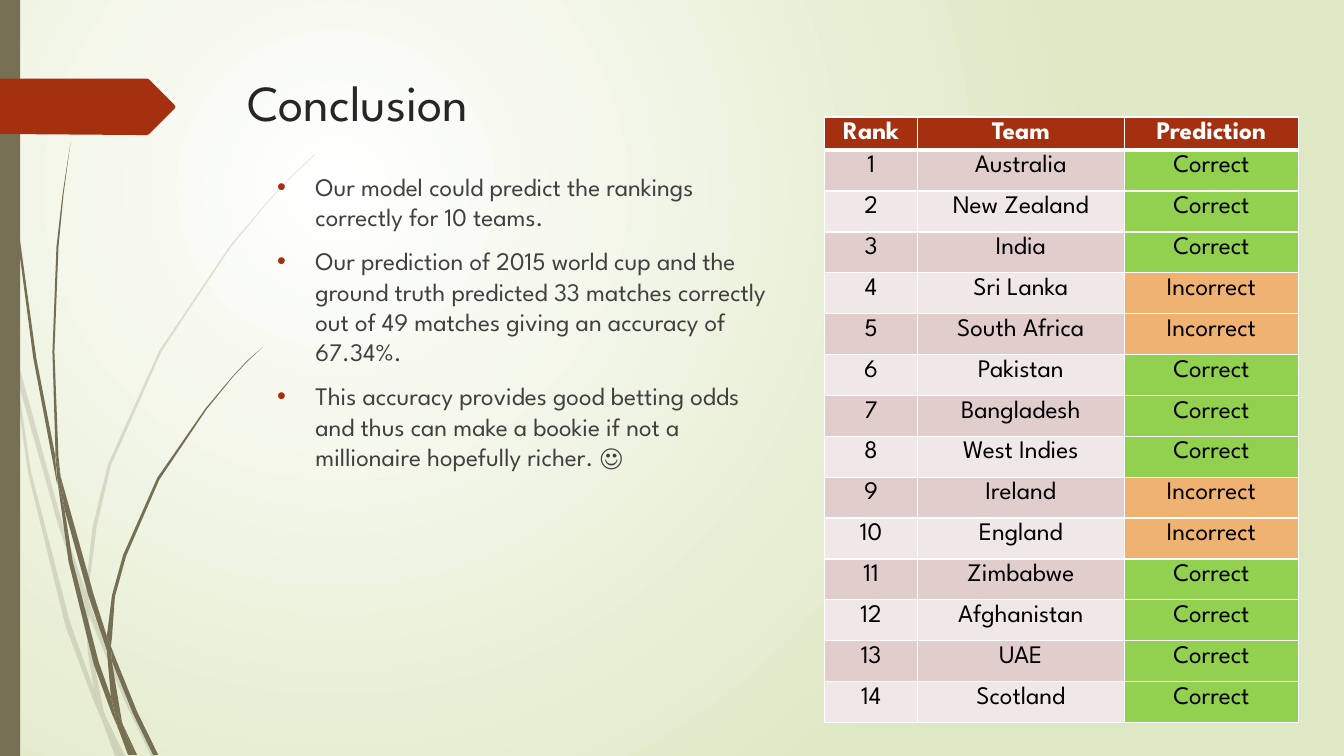
import pptx
import pptx.util
import pptx.oxml
import pptx.oxml.ns
import pptx.dml.color
import pptx.enum.shapes
import pptx.enum.text

Inches = pptx.util.Inches
Pt = pptx.util.Pt
ALIGN = pptx.enum.text.PP_ALIGN
ANCHOR = pptx.enum.text.MSO_ANCHOR

COLORS = {
    "white": "FFFFFF", "black": "000000", "glow": "DFE8C4", "stem": "766F54",
    "rust": "A53010", "title": "262626", "body": "404040",
    "odd": "E1CDCC", "even": "F0E8E7", "Correct": "92D050", "Incorrect": "F0B270",
}

PALE = [
    "0.11,3.5 0.09,3.22 0,2.82 0,2.99 0.1,3.44",
    "0.58,5.22 0.84,5.99 0.85,5.86 0.62,5.2 0.14,3.45 0.17,3.76",
    "0.92,6.07 0.88,5.96 0.88,6.1 1.23,6.94 1.5,7.5 1.55,7.5 1.27,6.92",
    "1.19,7.5 1.24,7.5 1.05,7.11",
    "0.93,6.83 0.7,6.19 0.31,4.69 0.17,3.76 0.11,3.5 0.28,4.7 0.65,6.21 0.92,6.93 1.01,7.14 0.99,7.07",
    "0.84,5.99 0.87,6.46 0.93,6.83 0.96,6.92 1.05,7.11 1.03,7.06 0.91,6.46 0.88,6.1 0.88,6.08",
    "0.88,5.84 0.96,5.22 1.1,4.62 1.6,3.49 2.29,2.45 2.68,1.98 2.9,1.75 3.12,1.54 3.12,1.53 "
    "2.89,1.75 2.68,1.97 2.28,2.44 1.58,3.48 1.07,4.61 0.92,5.22 0.85,5.84 0.85,5.86 0.88,5.96",
    "1.01,7.14 1.14,7.5 1.19,7.5",
    "0.88,6.08 0.88,6.1 0.88,5.96 0.85,5.86 0.84,5.99",
    "0.96,6.92 0.93,6.83 0.99,7.07 1.01,7.14 1.19,7.5 1.05,7.11",
]
DARK = [
    "0.07,1.1 0.17,2.33 0.33,3.55 0.56,4.77 0.57,4.81 0.55,4.57 0.55,4.53 0.36,3.55 0.19,2.32 "
    "0.08,1.09 0.05,0.48 0.04,0 0.03,0 0.04,0.48",
    "0.88,5.92 1.06,6.45 1.06,6.31 0.93,5.9 0.6,4.72 0.64,5.05",
    "1.13,6.49 1.1,6.41 1.11,6.56 1.32,7.08 1.52,7.49 1.57,7.49 1.36,7.06",
    "1.1,6.91 0.98,6.57 0.72,5.56 0.64,5.05 0.57,4.77 0.68,5.57 0.93,6.59 1.11,7.08 1.17,7.22 1.16,7.17",
    "0.6,4.72 0.58,4.53 0.54,3.49 0.58,2.45 0.63,1.93 0.7,1.41 0.62,1.93 0.56,2.45 0.52,3.49 0.55,4.49",
    "1.33,7.49 1.36,7.49 1.22,7.19",
    "0.57,4.77 0.64,5.05 0.6,4.72 0.55,4.49 0.55,4.53",
    "1.11,6.33 1.14,5.92 1.25,5.52 1.58,4.76 2.05,4.06 2.31,3.74 2.45,3.59 2.61,3.44 2.45,3.58 "
    "2.31,3.73 2.04,4.05 1.56,4.74 1.22,5.51 1.11,5.91 1.06,6.31 1.1,6.41",
    "1.17,7.22 1.27,7.49 1.31,7.49",
    "1.06,6.45 1.1,6.91 1.16,7.06 1.22,7.19 1.21,7.16 1.11,6.56 1.09,6.51",
    "1.06,6.45 1.09,6.51 1.11,6.56 1.1,6.41 1.06,6.31",
    "1.16,7.06 1.1,6.91 1.16,7.17 1.17,7.22 1.3,7.49 1.33,7.49 1.22,7.19",
]
TAG = "0,0.78 1.46,0.78 1.48,0.79 1.73,1.04 1.74,1.06 1.73,1.08 1.48,1.33 1.46,1.34 1.36,1.34 0,1.33"

POINTS = [
    "Our model could predict the rankings correctly for 10 teams.",
    "Our prediction of 2015 world cup and the ground truth predicted 33 matches correctly "
    "out of 49 matches giving an accuracy of 67.34%.",
    "This accuracy provides good betting odds and thus can make a bookie if not a "
    "millionaire hopefully richer. ☺",
]
HEADS = ["Rank", "Team", "Prediction"]
TEAMS = ["Australia", "New Zealand", "India", "Sri Lanka", "South Africa", "Pakistan",
         "Bangladesh", "West Indies", "Ireland", "England", "Zimbabwe", "Afghanistan",
         "UAE", "Scotland"]
WRONG = {"Sri Lanka", "South Africa", "Ireland", "England"}


def node(tag, attrs="", inner=""):
    space = pptx.oxml.ns.nsdecls("a")
    return pptx.oxml.parse_xml(f"<a:{tag} {space} {attrs}>{inner}</a:{tag}>")


def paint(color):
    return f'<a:srgbClr val="{COLORS[color]}"/>'


class Deck:
    def __init__(self, face):
        self.face = face
        self.file = pptx.Presentation()
        self.file.slide_width = Inches(13.33)
        self.file.slide_height = Inches(7.5)
        self.slide = self.file.slides.add_slide(self.file.slide_layouts[5])
        self.shapes = self.slide.shapes

    def rgb(self, color):
        return pptx.dml.color.RGBColor.from_string(COLORS[color])

    def font(self, para, size, color, bold=False):
        for run in para.runs:
            run.font.name = self.face
            run.font.size = Pt(size)
            run.font.bold = bold
            run.font.color.rgb = self.rgb(color)

    def back(self, inner, outer):
        fill = self.slide.background.fill
        fill.solid()
        old = self.slide.element.find(".//" + pptx.oxml.ns.qn("p:bgPr"))[0]
        stops = "".join(f'<a:gs pos="{pos}">{paint(color)}</a:gs>'
                        for pos, color in ((0, inner), (100000, outer)))
        shade = ('<a:path path="circle">'
                 '<a:fillToRect l="50000" t="50000" r="100000" b="100000"/></a:path>')
        old.getparent().replace(old, node("gradFill", 'rotWithShape="1"', f"<a:gsLst>{stops}</a:gsLst>{shade}"))

    def flat(self, shape, color):
        shape.shadow.inherit = False
        shape.fill.solid()
        shape.fill.fore_color.rgb = self.rgb(color)
        shape.line.fill.background()

    def bar(self, left, top, width, height, color):
        kind = pptx.enum.shapes.MSO_SHAPE.RECTANGLE
        box = map(Inches, (left, top, width, height))
        self.flat(self.shapes.add_shape(kind, *box), color)

    def form(self, shapes, spots, color, alpha=100):
        pairs = [tuple(Inches(float(num)) for num in spot.split(",")) for spot in spots.split()]
        pen = shapes.build_freeform(*pairs[0])
        pen.add_line_segments(pairs[1:], close=True)
        shape = pen.convert_to_shape()
        self.flat(shape, color)
        if alpha < 100:
            tint = shape.element.spPr.find(".//" + pptx.oxml.ns.qn("a:srgbClr"))
            tint.append(node("alpha", f'val="{alpha * 1000}"'))

    def grass(self, blades, color, alpha=100):
        group = self.shapes.add_group_shape()
        for blade in blades:
            self.form(group.shapes, blade, color, alpha)

    def title(self, text, left, top, width, height):
        box = self.shapes.title
        box.left, box.top, box.width, box.height = map(Inches, (left, top, width, height))
        frame = box.text_frame
        frame.text = text
        frame.vertical_anchor = ANCHOR.TOP
        frame.paragraphs[0].alignment = ALIGN.LEFT
        self.font(frame.paragraphs[0], 36, "title")

    def list(self, items, left, top, width, height):
        box = self.shapes.add_textbox(*map(Inches, (left, top, width, height)))
        frame = box.text_frame
        frame.word_wrap = True
        frame.text = "\n".join(items)
        for num, para in enumerate(frame.paragraphs):
            props = para._p.get_or_add_pPr()
            props.set("marL", str(Inches(0.38)))
            props.set("indent", str(-Inches(0.38)))
            props.append(node("buClr", "", paint("rust")))
            props.append(node("buFont", 'typeface="Arial"'))
            props.append(node("buChar", 'char="•"'))
            para.space_before = Pt(10 if num else 0)
            self.font(para, 18, "body")

    def cell(self, cell, text, fill, color, bold, base):
        cell.text = text
        cell.margin_top = Inches(0.05)
        cell.margin_bottom = 0
        cell.fill.solid()
        cell.fill.fore_color.rgb = self.rgb(fill)
        para = cell.text_frame.paragraphs[0]
        para.alignment = ALIGN.CENTER
        self.font(para, 18, color, bold)
        props = cell._tc.get_or_add_tcPr()
        sides = (("lnL", 1), ("lnR", 1), ("lnT", 1), ("lnB", base))
        for spot, (side, width) in enumerate(sides):
            line = f"<a:solidFill>{paint('white')}</a:solidFill>"
            props.insert(spot, node(side, f'w="{Pt(width)}"', line))

    def table(self, rows, left, top, widths, head, body):
        size = map(Inches, (left, top, sum(widths), head + body))
        grid = self.shapes.add_table(len(rows), len(widths), *size).table
        for col, width in zip(grid.columns, widths):
            col.width = Inches(width)
        for num, row in enumerate(rows):
            grid.rows[num].height = Inches(body / (len(rows) - 1) if num else head)
            for pos, text in enumerate(row):
                band = "odd" if num % 2 else "even"
                fill = text if text in COLORS else band
                look = (fill, "black", False, 1) if num else ("rust", "white", True, 3)
                self.cell(grid.cell(num, pos), text, *look)


def main():
    deck = Deck("League Spartan")
    deck.back("white", "glow")
    deck.grass(PALE, "stem", 20)
    deck.grass(DARK, "stem")
    deck.bar(0, 0, 0.2, 7.5, "stem")
    deck.form(deck.shapes, TAG, "rust")
    deck.title("Conclusion", 2.35, 0.66, 9.75, 1.4)
    rows = [HEADS] + [[str(rank), team, "Incorrect" if team in WRONG else "Correct"]
                      for rank, team in enumerate(TEAMS, 1)]
    deck.table(rows, 8.18, 1.16, [0.92, 2.05, 1.73], 0.33, 5.68)
    deck.list(POINTS, 2.65, 1.65, 5.07, 5.35)
    deck.file.save("out.pptx")


if __name__ == "__main__":
    main()
